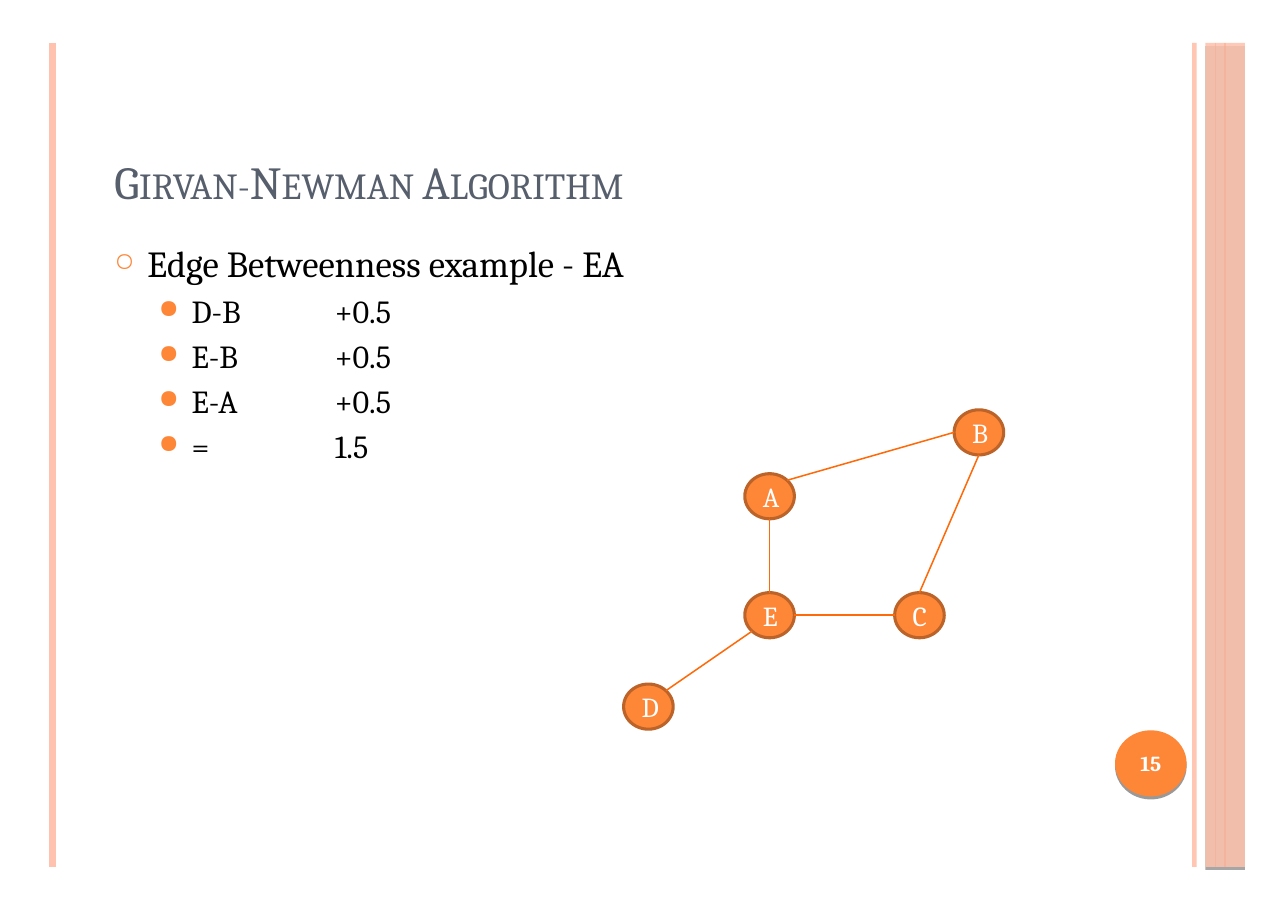
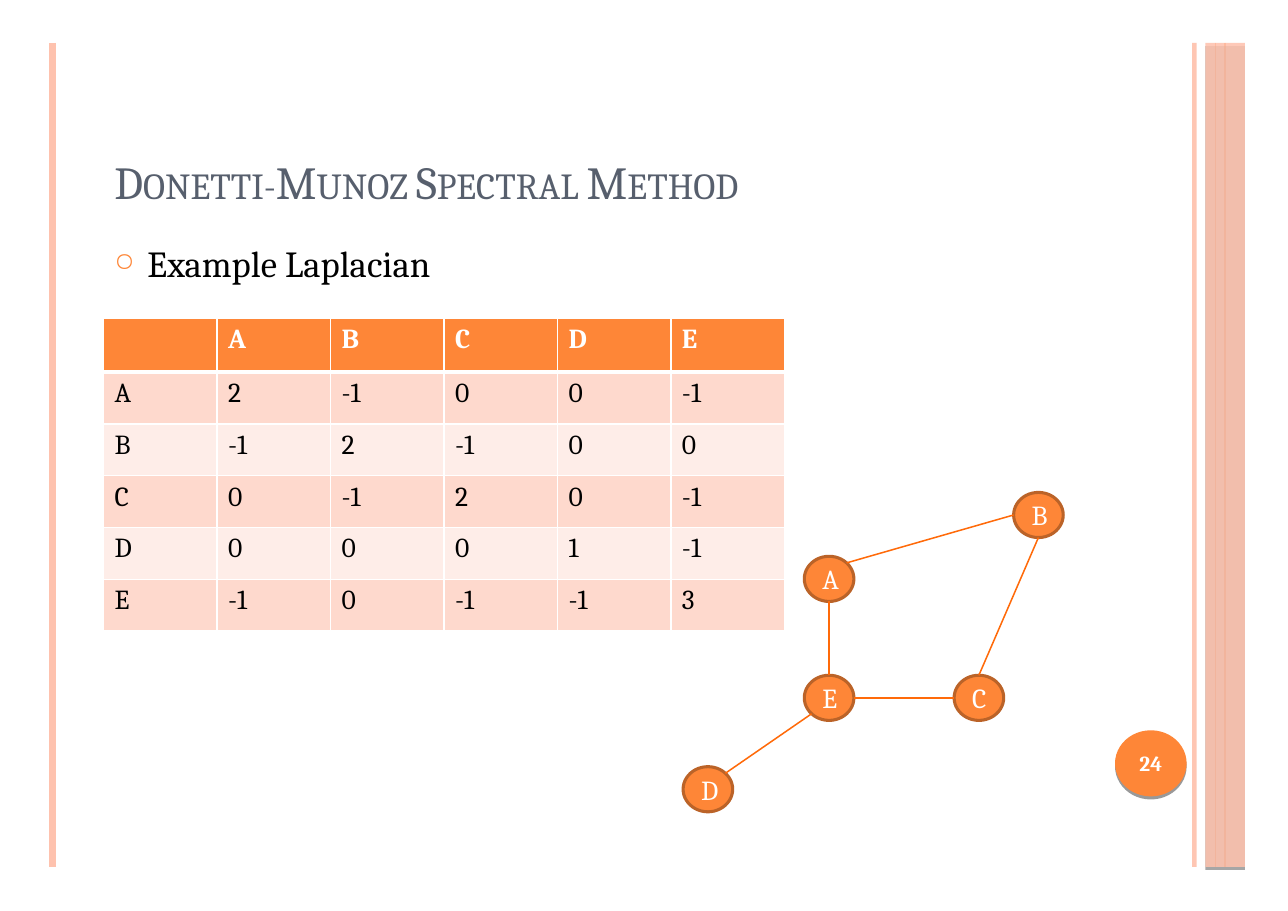
from math import cos, radians, sin

from lxml import etree
from pptx import Presentation
from pptx.dml.color import RGBColor
from pptx.enum.shapes import MSO_CONNECTOR, MSO_SHAPE
from pptx.enum.text import MSO_ANCHOR, PP_ALIGN
from pptx.oxml.ns import qn
from pptx.util import Inches, Pt

LINE = MSO_CONNECTOR.STRAIGHT
RECT, OVAL = MSO_SHAPE.RECTANGLE, MSO_SHAPE.OVAL
MIDDLE, BOTTOM = MSO_ANCHOR.MIDDLE, MSO_ANCHOR.BOTTOM
LEFT, CENTER = PP_ALIGN.LEFT, PP_ALIGN.CENTER

HEX = {
    "orange": "FE8637", "peach": "FEC2AE", "rust": "BB6328", "edge": "FF6A09",
    "slate": "575F6D", "white": "FFFFFF", "black": "000000",
    "dark": "FED9CD", "pale": "FEEDE8",
}
RGB = {name: RGBColor.from_string(code) for name, code in HEX.items()}

LOOKS = {
    "title": ("slate", LEFT, {"size": Pt(30)}),
    "top": ("black", LEFT, {"size": Pt(24)}),
    "sub": ("black", LEFT, {"size": Pt(21)}),
    "page": ("white", CENTER, {"size": Pt(14), "bold": True}),
    "node": ("white", CENTER, {"size": Pt(18)}),
    "head": ("white", LEFT, {"size": Pt(18), "bold": True}),
    "cell": ("black", LEFT, {"size": Pt(18), "bold": False}),
}
BULLETS = {"top": ("○", 70, 0.3, 0), "sub": ("●", 80, 0.7, 4.2)}

TOP, BASE = 0.39, 7.87
RULES = [
    (10.84, "peach", 3, 93), (0.48, "peach", 4.5, 100),
    (11.12, "orange", 1.5, 100), (11.03, "orange", 0.75, 100),
]
SOLIDS = [
    (RECT, (10.94, TOP, 0.36, BASE - TOP), "peach", 87),
    (OVAL, (10.12, 6.63, 0.65, 0.6), "orange", 100),
]

WIDE, HIGH = 0.45, 0.41
NODES = {"A": (0, 0), "D": (-1.1, 1.91), "C": (1.36, 1.08),
         "B": (1.9, -0.58), "E": (0, 1.08)}
EDGES = [("D", 45, "E", 225), ("E", 90, "A", 270), ("E", 0, "C", 180),
         ("C", 90, "B", 270), ("A", 45, "B", 180)]

GRID = [
    ["", "A", "B", "C", "D", "E"],
    ["A", "2", "-1", "0", "0", "-1"],
    ["B", "-1", "2", "-1", "0", "0"],
    ["C", "0", "-1", "2", "0", "-1"],
    ["D", "0", "0", "0", "1", "-1"],
    ["E", "-1", "0", "-1", "-1", "3"],
]
PAGES = [
    ("Girvan-Newman Algorithm", "15",
     [("top", "Edge Betweenness example - EA"), ("sub", "D-B\t+0.5"),
      ("sub", "E-B\t+0.5"), ("sub", "E-A\t+0.5"), ("sub", "=\t1.5")],
     (6.76, 4.3), None),
    ("Donetti-Munoz Spectral Method", "24", [("top", "Example Laplacian")],
     (7.3, 5.05), GRID),
]


def write(para, text, look):
    color, para.alignment, form = LOOKS[look]
    run = para.add_run()
    run.text = text
    run.font.name = "Cambria"
    run.font.color.rgb = RGB[color]
    for key, value in form.items():
        setattr(run.font, key, value)
    return run


def draw(slide, start, end, color, width):
    line = slide.shapes.add_connector(LINE, *map(Inches, (*start, *end)))
    line.line.color.rgb = RGB[color]
    line.line.width = Pt(width)
    etree.SubElement(line._element.spPr, qn("a:effectLst"))
    return line


deck = Presentation()
deck.slide_width, deck.slide_height = Inches(11.69), Inches(8.27)

for title, number, points, (left, top), grid in PAGES:
    slide = deck.slides.add_slide(deck.slide_layouts[6])
    shapes = slide.shapes

    for x, color, width, alpha in RULES:
        line = draw(slide, (x, TOP), (x, BASE), color, width)
        tint = line._element.xpath("./p:spPr//a:srgbClr")[0]
        etree.SubElement(tint, qn("a:alpha"), val=str(alpha * 1000))
    for kind, place, color, alpha in SOLIDS:
        solid = shapes.add_shape(kind, *map(Inches, place))
        solid.fill.solid()
        solid.fill.fore_color.rgb = RGB[color]
        solid.line.fill.background()
        tint = solid._element.xpath("./p:spPr//a:srgbClr")[0]
        etree.SubElement(tint, qn("a:alpha"), val=str(alpha * 1000))
        solid.shadow.inherit = False
        effect = solid._element.spPr.find(qn("a:effectLst"))
        shade = etree.SubElement(effect, qn("a:outerShdw"), blurRad="0",
                                 dist=str(Pt(2)), dir="5400000", rotWithShape="0")
        tint = etree.SubElement(shade, qn("a:srgbClr"), val=HEX["black"])
        etree.SubElement(tint, qn("a:alpha"), val="40000")
        if kind == OVAL:
            frame = solid.text_frame
            frame.vertical_anchor = MIDDLE
            write(frame.paragraphs[0], number, "page")

    frame = shapes.add_textbox(*map(Inches, (0.94, 0.69, 8.91, 1.25))).text_frame
    frame.word_wrap = True
    frame.vertical_anchor = BOTTOM
    run = write(frame.paragraphs[0], title, "title")
    run.font._element.set("cap", "small")

    frame = shapes.add_textbox(*map(Inches, (0.94, 2.14, 8.91, 5.32))).text_frame
    frame.word_wrap = True
    for i, (look, text) in enumerate(points):
        para = frame.add_paragraph() if i else frame.paragraphs[0]
        sign, size, indent, gap = BULLETS[look]
        props = para._element.get_or_add_pPr()
        props.set("marL", str(Inches(indent)))
        props.set("indent", str(Inches(-0.3)))
        paint = etree.SubElement(props, qn("a:buClr"))
        etree.SubElement(paint, qn("a:srgbClr"), val=HEX["orange"])
        etree.SubElement(props, qn("a:buSzPct"), val=str(size * 1000))
        etree.SubElement(props, qn("a:buChar"), char=sign)
        if "\t" in text:
            tabs = etree.SubElement(props, qn("a:tabLst"))
            etree.SubElement(tabs, qn("a:tab"), pos=str(Inches(2)), algn="l")
        para.level = 1 if look == "sub" else 0
        para.space_before = Pt(gap)
        write(para, text, look)

    for name, (x, y) in NODES.items():
        node = shapes.add_shape(OVAL, *map(Inches, (left + x, top + y, WIDE, HIGH)))
        node.shadow.inherit = False
        node.fill.solid()
        node.fill.fore_color.rgb = RGB["orange"]
        node.line.color.rgb = RGB["rust"]
        node.line.width = Pt(2)
        node.text_frame.vertical_anchor = MIDDLE
        write(node.text_frame.paragraphs[0], name, "node")
    for first, leave, last, reach in EDGES:
        ends = []
        for name, angle in ((first, leave), (last, reach)):
            x, y = NODES[name]
            turn = radians(angle)
            ends.append((left + x + WIDE / 2 * (1 + cos(turn)),
                         top + y + HIGH / 2 * (1 - sin(turn))))
        draw(slide, *ends, "edge", 1)

    if grid:
        place = map(Inches, (0.94, 2.89, 6.18, 2.84))
        table = shapes.add_table(len(grid), len(grid[0]), *place).table
        for col in table.columns:
            col.width = Inches(1.03)
        for r, row in enumerate(grid):
            table.rows[r].height = Inches(0.47 if r else 0.49)
            for c, text in enumerate(row):
                cell = table.cell(r, c)
                props = cell._tc.get_or_add_tcPr()
                for side in ("lnL", "lnR", "lnT", "lnB"):
                    heavy = (r, side) in ((0, "lnB"), (1, "lnT"))
                    edge = etree.SubElement(props, qn("a:" + side),
                                            w=str(Pt(3 if heavy else 0.96)))
                    paint = etree.SubElement(edge, qn("a:solidFill"))
                    etree.SubElement(paint, qn("a:srgbClr"), val=HEX["white"])
                cell.fill.solid()
                shade = ("dark" if r % 2 else "pale") if r else "orange"
                cell.fill.fore_color.rgb = RGB[shade]
                if text:
                    para = cell.text_frame.paragraphs[0]
                    write(para, text, "cell" if r else "head")

deck.save("out.pptx")
